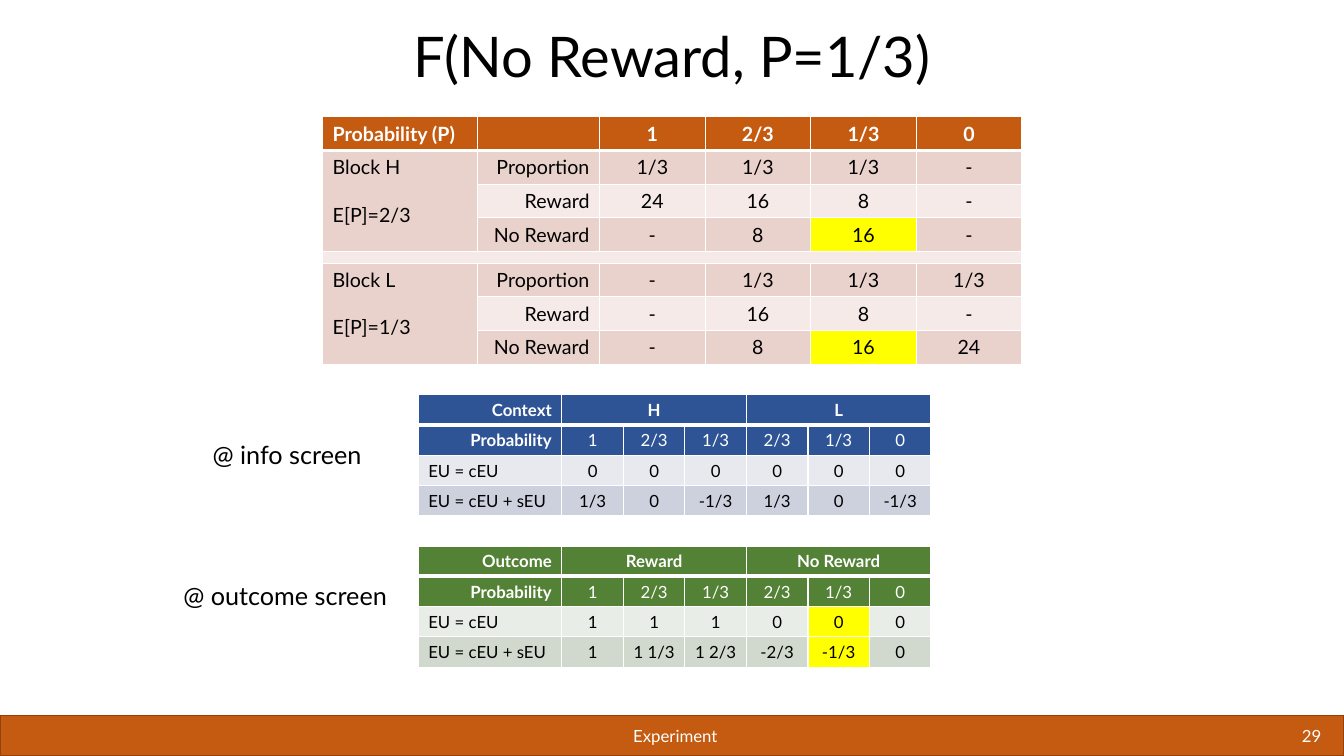
from lxml import etree
from pptx import Presentation
from pptx.dml.color import RGBColor
from pptx.enum.shapes import MSO_SHAPE
from pptx.enum.text import MSO_ANCHOR, PP_ALIGN
from pptx.oxml.ns import qn
from pptx.util import Cm, Pt

RECT = MSO_SHAPE.RECTANGLE
TOP, MIDDLE, BOTTOM = MSO_ANCHOR.TOP, MSO_ANCHOR.MIDDLE, MSO_ANCHOR.BOTTOM
ALIGN = {"l": PP_ALIGN.LEFT, "c": PP_ALIGN.CENTER, "r": PP_ALIGN.RIGHT}
COLORS = {
    "black": "000000", "white": "FFFFFF", "yellow": "FFFF00",
    "orange": "C55A11", "orange_line": "92430D", "orange_dark": "EAD2CC", "orange_light": "F5EAE7",
    "blue": "2F5496", "blue_dark": "CDD1DD", "blue_light": "E8E9EF",
    "green": "538135", "green_dark": "D1D8CE", "green_light": "E9EDE8",
}


def rgb(name):
    return RGBColor.from_string(COLORS[name])


def write(tf, text, size=18, color="black", bold=False, align="l", gap=0, spacing=None):
    for i, line in enumerate(text.split("\n")):
        p = tf.add_paragraph() if i else tf.paragraphs[0]
        p.alignment = ALIGN[align]
        if i:
            p.space_before = Pt(gap)
        if spacing:
            p.line_spacing = spacing
        r = p.add_run()
        r.text = line
        r.font.name, r.font.size, r.font.bold = "Lato", Pt(size), bold
        r.font.color.rgb = rgb(color)


class Deck:
    """Draws styled elements on the current slide."""

    def __init__(self, width, height):
        self.prs = Presentation()
        self.prs.slide_width, self.prs.slide_height = Cm(width), Cm(height)
        self.s = self.prs.slides.add_slide(self.prs.slide_layouts[6])

    def bar(self, x, y, w, h):
        sp = self.s.shapes.add_shape(RECT, Cm(x), Cm(y), Cm(w), Cm(h))
        sp.shadow.inherit = False
        sp.fill.solid()
        sp.fill.fore_color.rgb = rgb("orange")
        sp.line.color.rgb = rgb("orange_line")
        sp.line.width = Pt(1)

    def text(self, x, y, w, h, text, anchor=TOP, wrap=True, **fmt):
        tf = self.s.shapes.add_textbox(Cm(x), Cm(y), Cm(w), Cm(h)).text_frame
        tf.word_wrap = wrap
        tf.vertical_anchor = anchor
        write(tf, text, **fmt)

    def borders(self, cell, top, bottom):
        tcPr = cell._tc.get_or_add_tcPr()
        for side, width in (("L", 1), ("R", 1), ("T", top), ("B", bottom)):
            ln = etree.SubElement(tcPr, qn(f"a:ln{side}"), w=str(Pt(width)))
            fill = etree.SubElement(ln, qn("a:solidFill"))
            etree.SubElement(fill, qn("a:srgbClr"), val=COLORS["white"])

    def table(self, x, y, cols, heights, rows, merges, theme, size, aligns,
              header_aligns, header_rows=1, marked=()):
        tbl = self.s.shapes.add_table(len(rows), len(cols), Cm(x), Cm(y),
                                      Cm(sum(cols)), Cm(sum(heights))).table
        tbl.horz_banding = False
        for col, width in zip(tbl.columns, cols):
            col.width = Cm(width)
        for row, height in zip(tbl.rows, heights):
            row.height = Cm(height)
        for i, row in enumerate(rows):
            header = i < header_rows
            band = theme if header else theme + ("_dark" if i % 2 else "_light")
            for j, text in enumerate(row):
                cell = tbl.cell(i, j)
                self.borders(cell, 3 if i == 1 else 1, 3 if i == 0 else 1)
                cell.fill.solid()
                cell.fill.fore_color.rgb = rgb("yellow" if (i, j) in marked else band)
                if text:
                    write(cell.text_frame, text, size=size, gap=17,
                          color="white" if header else "black",
                          bold=header and (i == 0 or j == 0),
                          align=(header_aligns if header else aligns)[j])
                else:
                    cell.margin_top = cell.margin_bottom = 0
                    end = cell.text_frame.paragraphs[0]._p.get_or_add_endParaRPr()
                    end.set("sz", "100")
        for first, last in merges:
            tbl.cell(*first).merge(tbl.cell(*last))

    def screen_table(self, y, theme, rows, marked=()):
        probabilities = ["Probability", "1", "2/3", "1/3", "2/3", "1/3", "0"]
        name, left, right = rows[0]
        top = [name, left, "", "", right, "", ""]
        self.table(10.54, y, [3.62] + [1.55] * 6, [0.76] * 4,
                   [top, probabilities] + rows[1:],
                   [((0, 1), (0, 3)), ((0, 4), (0, 6))], theme, 12,
                   "lcccccc", "rcccccc", header_rows=2, marked=marked)


def main():
    d = Deck(33.87, 19.05)
    d.bar(0, 18.03, 33.87, 1.02)
    d.text(1.68, 0.58, 30.5, 1.8, "F(No Reward, P=1/3)", anchor=BOTTOM,
           size=40, align="c", spacing=0.9)
    d.text(5.69, 18.03, 22.66, 1.02, "Experiment", anchor=MIDDLE,
           size=12, color="white", align="c")
    d.text(28.32, 18.03, 5.23, 1.02, "29", anchor=MIDDLE,
           size=12, color="white", align="r")

    d.screen_table(9.95, "blue", [
        ["Context", "H", "L"],
        ["EU = cEU"] + ["0"] * 6,
        ["EU = cEU + sEU"] + ["1/3", "0", "-1/3"] * 2,
    ])
    d.screen_table(13.76, "green", [
        ["Outcome", "Reward", "No Reward"],
        ["EU = cEU"] + ["1"] * 3 + ["0"] * 3,
        ["EU = cEU + sEU", "1", "1 1/3", "1 2/3", "-2/3", "-1/3", "0"],
    ], marked=[(2, 5), (3, 5)])

    d.table(8.13, 2.94, [3.91, 3.07] + [2.66] * 4, [0.85] * 4 + [0.29] + [0.85] * 3, [
        ["Probability (P)", "", "1", "2/3", "1/3", "0"],
        ["Block H\nE[P]=2/3", "Proportion", "1/3", "1/3", "1/3", "-"],
        ["", "Reward", "24", "16", "8", "-"],
        ["", "No Reward", "-", "8", "16", "-"],
        [""] * 6,
        ["Block L\nE[P]=1/3", "Proportion", "-", "1/3", "1/3", "1/3"],
        ["", "Reward", "-", "16", "8", "-"],
        ["", "No Reward", "-", "8", "16", "24"],
    ], [((1, 0), (3, 0)), ((4, 0), (4, 5)), ((5, 0), (7, 0))], "orange", 14,
        "lrcccc", "lrcccc", marked=[(3, 4), (7, 4)])

    d.text(4.37, 14.5, 5.77, 1.02, "@ outcome screen", wrap=False)
    d.text(5.11, 10.95, 4.32, 1.02, "@ info screen", wrap=False)
    d.prs.save("out.pptx")


if __name__ == "__main__":
    main()
